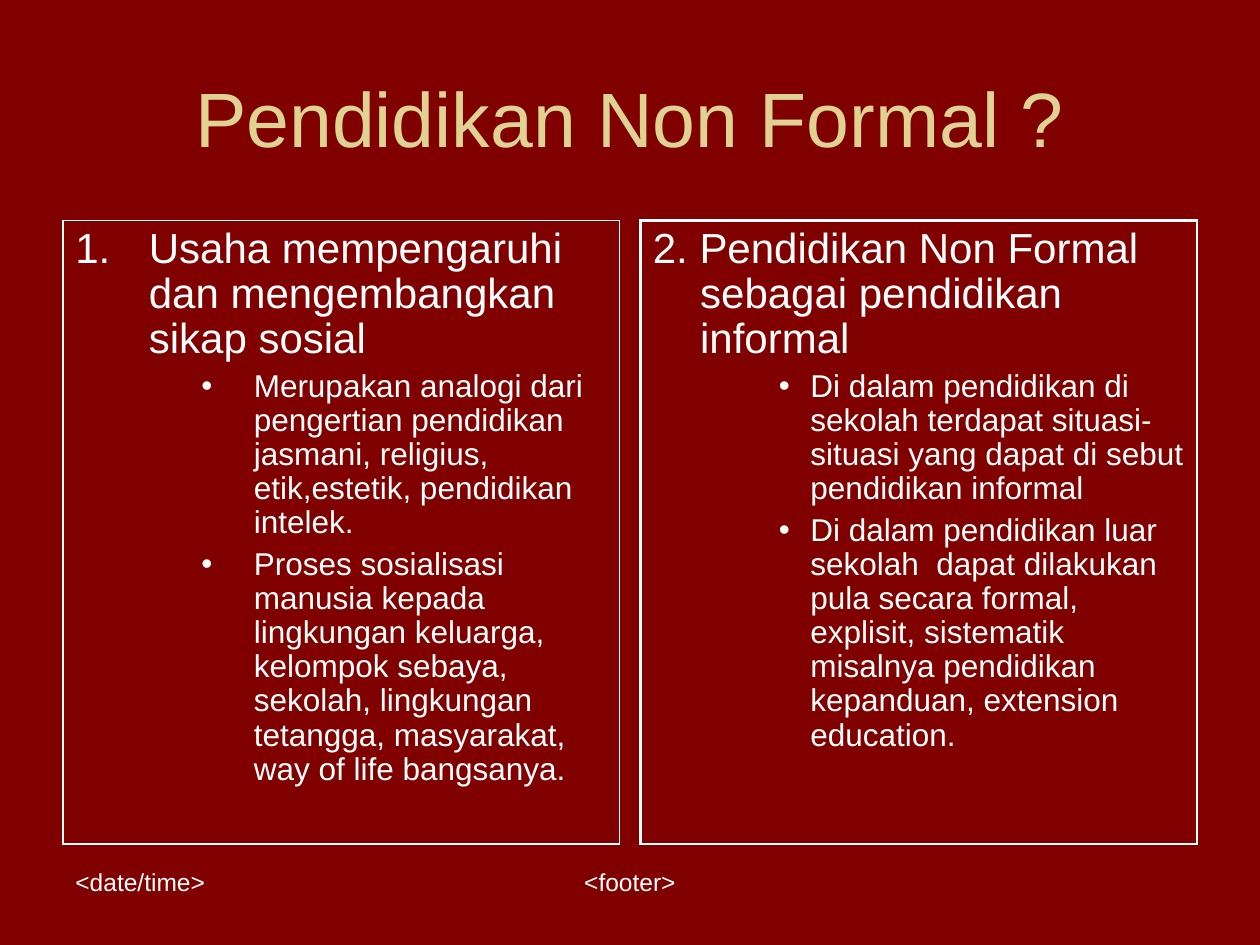
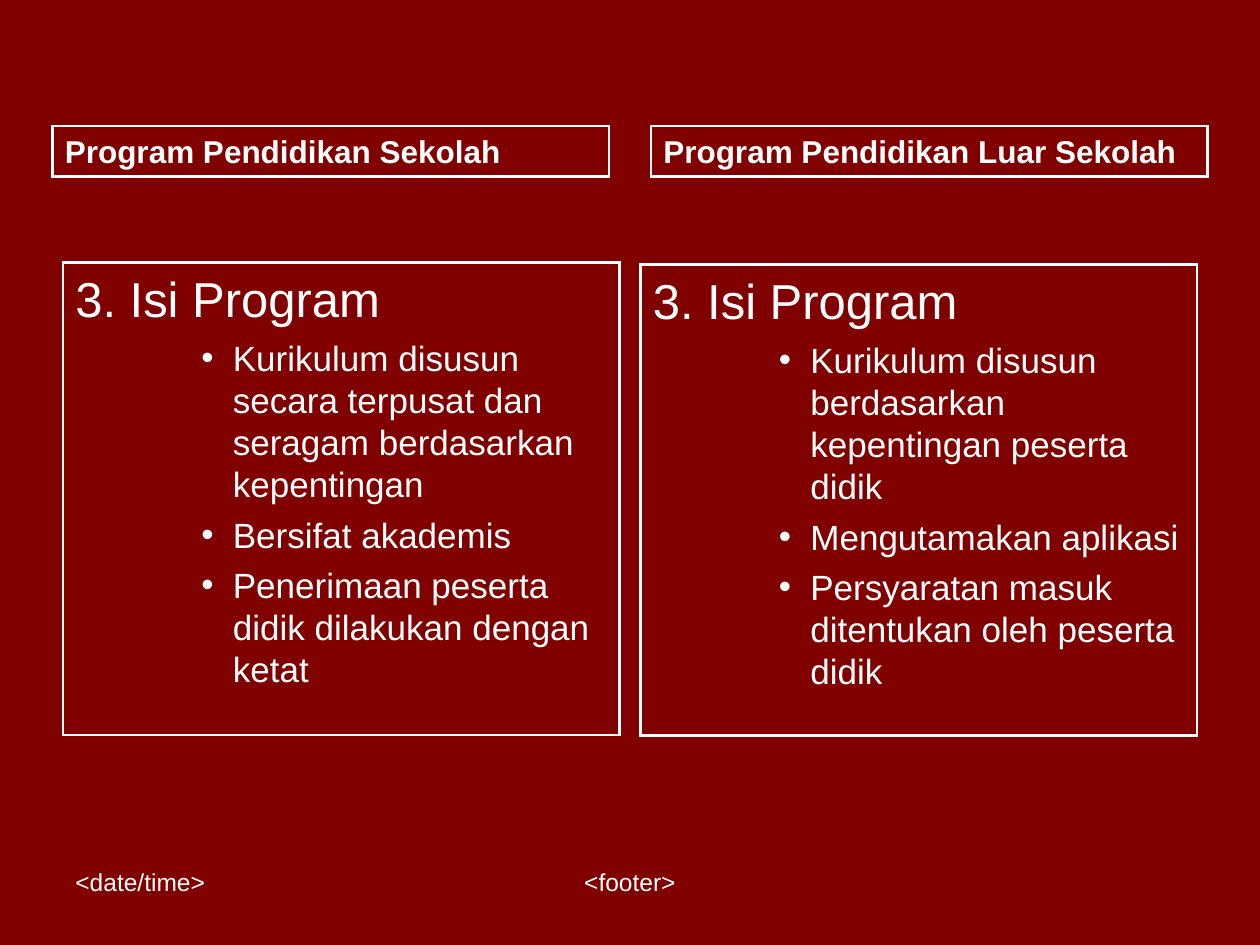
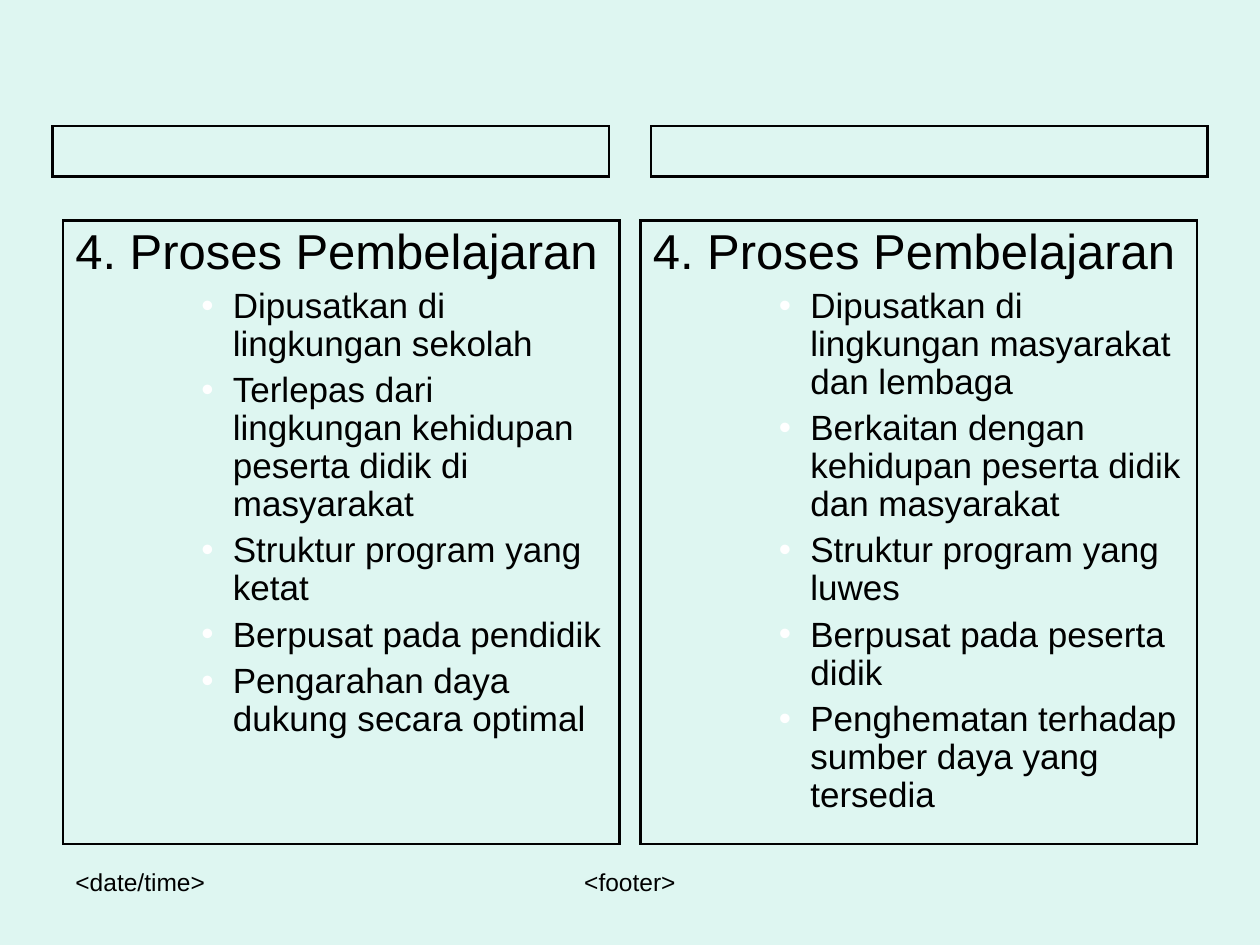
from lxml.etree import SubElement
from pptx import Presentation
from pptx.dml.color import RGBColor
from pptx.enum.shapes import MSO_SHAPE
from pptx.enum.text import MSO_ANCHOR, PP_ALIGN
from pptx.oxml.ns import qn
from pptx.util import Inches, Pt

FONT = "Arial"
WHITE, BLACK, GOLD = "FFFFFF", "000000", "DFD293"
MAROON, MINT = "800000", "DEF6F1"
PAGE = 10
WIDE = 53 / 12
EDGE, SIDE = 0.5, 5 / 12
COLS = (EDGE, PAGE - EDGE - WIDE)
TABS = ((SIDE, "Program Pendidikan Sekolah"),
        (PAGE - SIDE - WIDE, "Program Pendidikan Luar Sekolah"))
FEET = ((41 / 12, 19 / 6, "<footer>", PP_ALIGN.CENTER),
        (EDGE, 7 / 3, "<date/time>", PP_ALIGN.LEFT))

SLIDES = [
    {"title": "Pendidikan Non Formal ?", "back": MAROON, "ink": WHITE,
     "sizes": (24, 18), "gaps": (6, 4.5), "lead": 0.9,
     "boxes": [
         {"top": 1.75, "high": 4.95, "line": 1, "number": True,
          "hangs": (7 / 12, 5 / 12),
          "head": "Usaha mempengaruhi dan mengembangkan sikap sosial",
          "items": [
              "Merupakan analogi dari pengertian pendidikan jasmani, "
              "religius, etik,estetik, pendidikan intelek.",
              "Proses sosialisasi manusia kepada lingkungan keluarga, "
              "kelompok sebaya, sekolah, lingkungan tetangga, masyarakat, "
              "way of life bangsanya."]},
         {"top": 1.75, "high": 4.95,
          "head": "2. Pendidikan Non Formal sebagai pendidikan informal",
          "items": [
              "Di dalam pendidikan di sekolah terdapat situasi-situasi "
              "yang dapat di sebut pendidikan informal",
              "Di dalam pendidikan luar sekolah  dapat dilakukan pula "
              "secara formal, explisit, sistematik misalnya pendidikan "
              "kepanduan, extension education."]}]},
    {"back": MAROON, "ink": WHITE, "tabs": True,
     "sizes": (28, 20), "gaps": (7, 5), "lead": 1.0,
     "boxes": [
         {"top": 25 / 12, "high": 3.75, "head": "3. Isi Program",
          "items": [
              "Kurikulum disusun secara terpusat dan seragam "
              "berdasarkan kepentingan",
              "Bersifat akademis",
              "Penerimaan peserta didik dilakukan dengan ketat"]},
         {"top": 2.1, "high": 3.74, "head": "3. Isi Program",
          "items": [
              "Kurikulum disusun berdasarkan kepentingan peserta didik",
              "Mengutamakan aplikasi",
              "Persyaratan masuk ditentukan oleh peserta didik"]}]},
    {"back": MINT, "ink": BLACK,
     "sizes": (28, 20), "gaps": (7, 5), "lead": 0.9,
     "boxes": [
         {"top": 1.75, "high": 4.95, "head": "4. Proses Pembelajaran",
          "items": [
              "Dipusatkan di lingkungan sekolah",
              "Terlepas dari lingkungan kehidupan peserta didik di masyarakat",
              "Struktur program yang ketat",
              "Berpusat pada pendidik",
              "Pengarahan daya dukung secara optimal"]},
         {"top": 1.75, "high": 4.95, "head": "4. Proses Pembelajaran",
          "items": [
              "Dipusatkan di lingkungan masyarakat dan lembaga",
              "Berkaitan dengan kehidupan peserta didik dan masyarakat",
              "Struktur program yang luwes",
              "Berpusat pada peserta didik",
              "Penghematan terhadap sumber daya yang tersedia"]}]},
]


def paint(fill, tone):
    fill.solid()
    fill.fore_color.rgb = RGBColor.from_string(tone)


def style(para, size, tone, align=PP_ALIGN.LEFT, bold=False):
    para.alignment = align
    font = para.font
    font.name, font.size, font.bold = FONT, Pt(size), bold
    paint(font.fill, tone)


def indent(para, left, hang, mark=None):
    props = para._p.get_or_add_pPr()
    props.set("marL", str(Inches(left)))
    props.set("indent", str(-Inches(hang)))
    if mark:
        tone = SubElement(props, qn("a:buClr"))
        SubElement(tone, qn("a:srgbClr"), val=WHITE)
        SubElement(props, qn("a:buFont"), typeface=FONT)
        if mark == "1.":
            SubElement(props, qn("a:buAutoNum"), type="arabicPeriod")
        else:
            SubElement(props, qn("a:buChar"), char=mark)


def frame(slide, left, top, high, ink, line=1.5):
    box = slide.shapes.add_shape(MSO_SHAPE.RECTANGLE, Inches(left),
                                 Inches(top), Inches(WIDE), Inches(high))
    box.shadow.inherit = False
    box.fill.background()
    paint(box.line.fill, ink)
    box.line.width = Pt(line)
    edge = box._element.spPr.find(qn("a:ln"))
    SubElement(edge, qn("a:miter"), lim="800000")
    text = box.text_frame
    text.word_wrap = True
    text.vertical_anchor = MSO_ANCHOR.TOP
    return text


def add_feet(slide, ink):
    for left, wide, words, align in FEET:
        box = slide.shapes.add_textbox(Inches(left), Inches(6.83),
                                       Inches(wide), Inches(0.52))
        text = box.text_frame
        text.word_wrap = True
        text.text = words
        style(text.paragraphs[0], 14, ink, align)


def add_title(slide, words):
    title = slide.shapes.title
    title.left, title.top = Inches(EDGE), Inches(0.3)
    title.width, title.height = Inches(PAGE - 2 * EDGE), Inches(1.25)
    title.text_frame.text = words
    title.text_frame.vertical_anchor = MSO_ANCHOR.MIDDLE
    style(title.text_frame.paragraphs[0], 44, GOLD, PP_ALIGN.CENTER)


def add_box(slide, left, box, data):
    ink = data["ink"]
    text = frame(slide, left, box["top"], box["high"], ink,
                 box.get("line", 1.5))
    first, inner = box.get("hangs", (3 / 8, 1 / 4))
    for row, words in enumerate([box["head"]] + box["items"]):
        para = text.add_paragraph() if row else text.paragraphs[0]
        rank = 1 if row else 0
        para.text = words
        para.level = 2 * rank
        para.line_spacing = data["lead"]
        para.space_before = Pt(data["gaps"][rank])
        if row:
            indent(para, 1 + inner, inner, "•")
        else:
            indent(para, first, first, "1." if box.get("number") else None)
        style(para, data["sizes"][rank], ink)


def add_tabs(slide, ink, named):
    for left, words in TABS:
        text = frame(slide, left, 1, 0.4, ink)
        if named:
            text.text = words
            para = text.paragraphs[0]
            para.space_before = Pt(4.5)
            style(para, 18, ink, bold=True)


def main():
    deck = Presentation()
    deck.slide_width, deck.slide_height = Inches(PAGE), Inches(7.5)
    for data in SLIDES:
        title = data.get("title")
        slide = deck.slides.add_slide(deck.slide_layouts[5 if title else 6])
        paint(slide.background.fill, data["back"])
        add_feet(slide, data["ink"])
        if title:
            add_title(slide, title)
        for left, box in zip(COLS, data["boxes"]):
            add_box(slide, left, box, data)
        if not title:
            add_tabs(slide, data["ink"], data.get("tabs"))
    deck.save("out.pptx")


if __name__ == "__main__":
    main()
